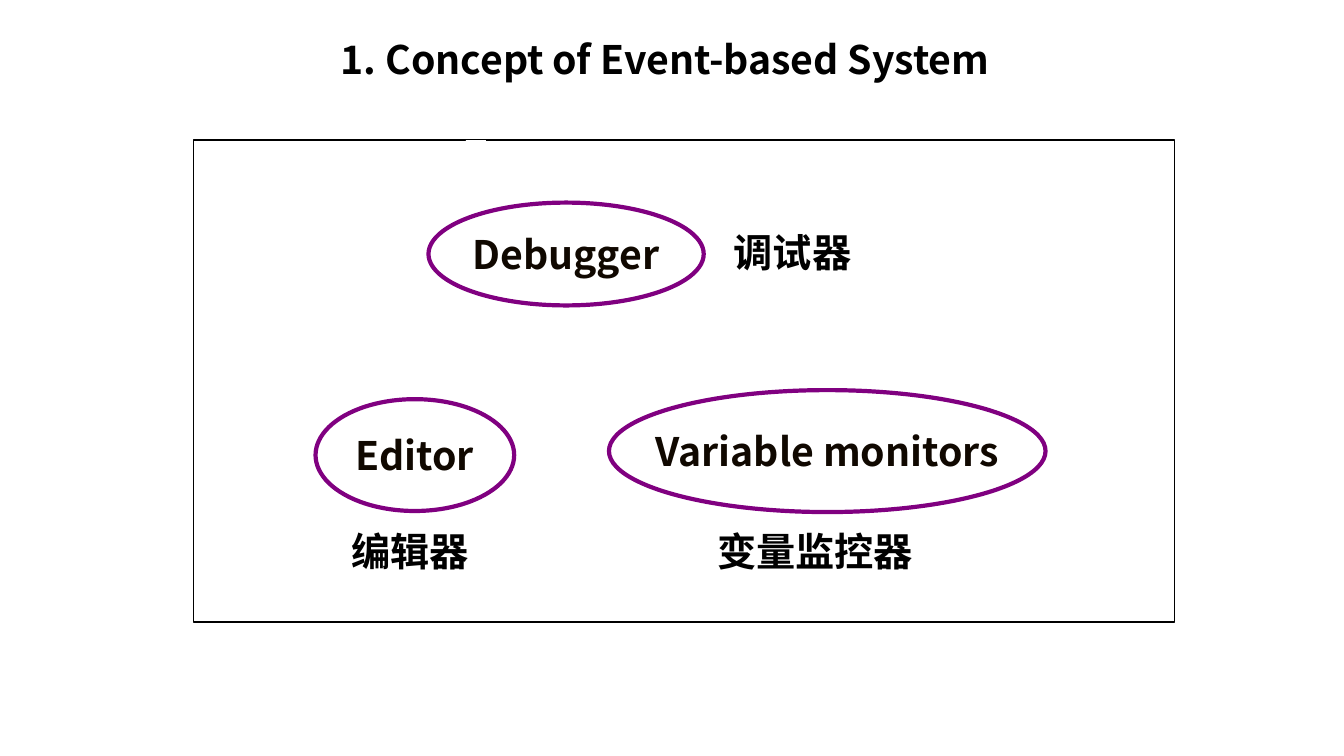
from lxml import etree
from pptx import Presentation
from pptx.dml.color import RGBColor
from pptx.enum.shapes import MSO_SHAPE as Kind
from pptx.enum.text import MSO_ANCHOR as Anchor, PP_ALIGN as Align
from pptx.oxml.ns import qn
from pptx.util import Inches, Pt

FONT = "Noto Sans CJK SC"
BLACK = RGBColor(0x00, 0x00, 0x00)
WHITE = RGBColor(0xFF, 0xFF, 0xFF)
PURPLE = RGBColor(0x80, 0x00, 0x80)
INK = RGBColor(0x10, 0x08, 0x00)

# Boxes are left, top, width, height in inches
FRAME = (1.92, 1.39, 9.73, 4.78)
NOTCH = (4.62, 1.39, 0.2, 0.63)
TOOLS = [
    ("Debugger", (4.25, 2.01, 2.73, 1.02)),
    ("Editor", (3.13, 3.96, 1.97, 1.11)),
    ("Variable monitors", (6.04, 3.87, 4.33, 1.21)),
]
LABELS = [
    ("1. Concept of Event-based System", (2.02, 0.3, 9.15, 0.61)),
    ("调试器", (7, 2.22, 1.72, 0.57)),
    ("变量监控器", (6.74, 5.18, 2.69, 0.57)),
    ("编辑器", (3.21, 5.18, 1.72, 0.57)),
]


def write(shape, text, size=28, color=BLACK, wrap=True, anchor=Anchor.TOP):
    frame = shape.text_frame
    frame.word_wrap = wrap
    frame.vertical_anchor = anchor
    para = frame.paragraphs[0]
    para.alignment = Align.CENTER
    run = para.add_run()
    run.text = text
    font = run.font
    font.name, font.size, font.bold = FONT, Pt(size), True
    font.color.rgb = color
    # East Asian characters take their font from a:ea
    etree.SubElement(run._r.get_or_add_rPr(), qn("a:ea")).set("typeface", FONT)


def draw(slide, kind, box, line=None, width=1):
    """Add a white shape, outlined only if a line colour is given."""
    shape = slide.shapes.add_shape(kind, *map(Inches, box))
    shape.shadow.inherit = False
    shape.fill.solid()
    shape.fill.fore_color.rgb = WHITE
    if line is None:
        shape.line.fill.background()
    else:
        shape.line.color.rgb = line
        shape.line.width = Pt(width)
    return shape


def main():
    deck = Presentation()
    deck.slide_width, deck.slide_height = Inches(13.33), Inches(7.5)
    slide = deck.slides.add_slide(deck.slide_layouts[6])
    draw(slide, Kind.RECTANGLE, FRAME, line=BLACK)
    for text, box in TOOLS:
        oval = draw(slide, Kind.OVAL, box, line=PURPLE, width=3)
        write(oval, text, color=INK, wrap=False, anchor=Anchor.MIDDLE)
    draw(slide, Kind.RECTANGLE, NOTCH)
    for text, box in LABELS:
        write(slide.shapes.add_textbox(*map(Inches, box)), text)
    deck.save("out.pptx")


if __name__ == "__main__":
    main()
